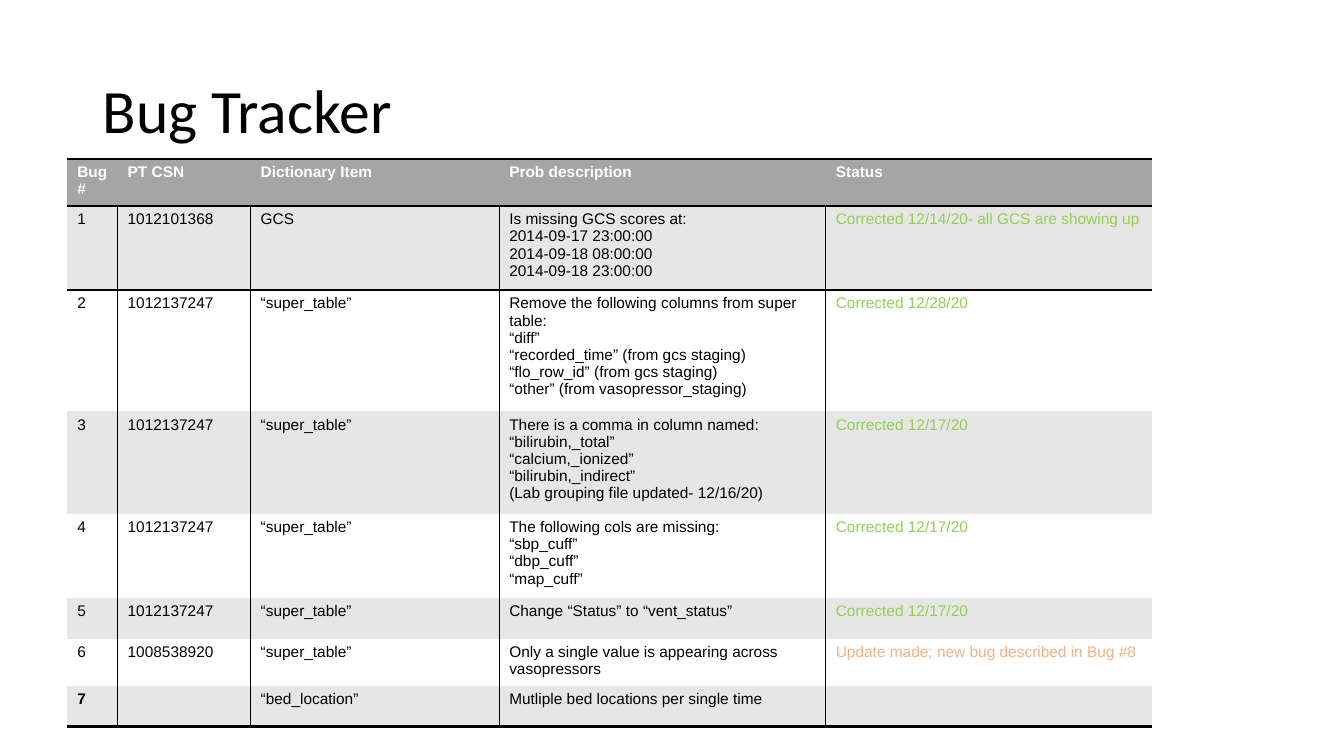
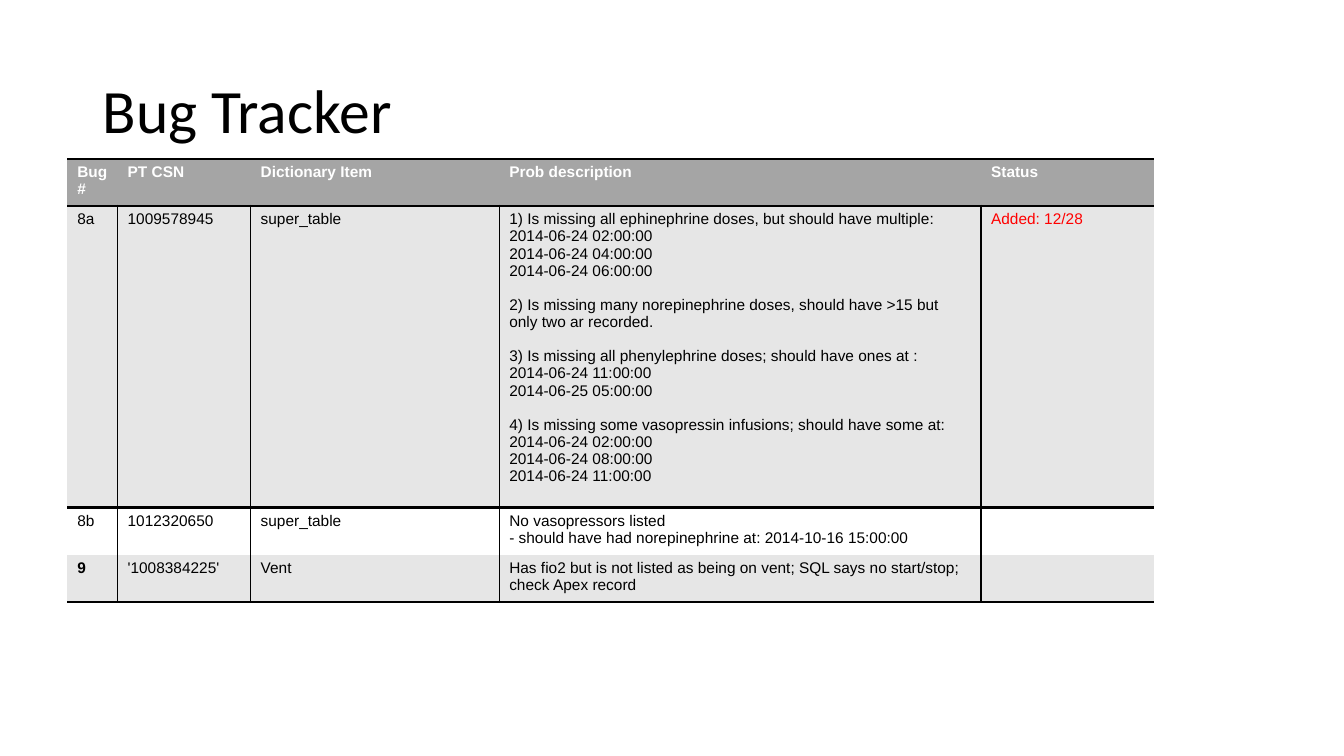
from pptx import Presentation
from pptx.dml.color import RGBColor
from pptx.enum.text import MSO_ANCHOR as Anchor
from pptx.util import Inches, Pt
from lxml.etree import SubElement
from pptx.oxml.ns import qn

BLACK, WHITE, HEAD, BAND = "000000", "FFFFFF", "A5A5A5", "E6E6E6"
STATUS = {"Corrected": "92D050", "Update": "F4B183", "Added:": "FF0000"}
HEADINGS = ["Bug #", "PT CSN", "Dictionary Item", "Prob description", "Status"]
NO_STYLE = "{2D5ABB26-0587-4C30-8999-92F81FD0307C}"
LINE_GAP = Pt(12.2)

prs = Presentation()
prs.slide_width, prs.slide_height = Inches(13.33), Inches(7.5)
X, Y = prs.slide_width / 100, prs.slide_height / 100


def set_font(p, name, size, color, bold=False):
    p.font.name, p.font.size, p.font.bold = name, Pt(size), bold
    p.font.color.rgb = RGBColor.from_string(color)


def add_border(cell, side, width):
    ln = SubElement(cell._tc.get_or_add_tcPr(), qn(f"a:ln{side}"), w=str(Pt(width)))
    SubElement(SubElement(ln, qn("a:solidFill")), qn("a:srgbClr"), val=BLACK)


slides = [
    ([3.75, 9.9, 18.5, 24.3, 24.3], [
        ["1", "1012101368", "GCS",
         "Is missing GCS scores at:\n2014-09-17 23:00:00\n"
         "2014-09-18 08:00:00\n2014-09-18 23:00:00",
         "Corrected 12/14/20- all GCS are showing up"],
        ["2", "1012137247", "“super_table”",
         "Remove the following columns from super table:\n“diff”\n"
         "“recorded_time” (from gcs staging)\n“flo_row_id” (from gcs staging)\n"
         "“other” (from vasopressor_staging)",
         "Corrected 12/28/20"],
        ["3", "1012137247", "“super_table”",
         "There is a comma in column named: “bilirubin,_total”\n“calcium,_ionized”\n"
         "“bilirubin,_indirect”\n(Lab grouping file updated- 12/16/20)",
         "Corrected 12/17/20"],
        ["4", "1012137247", "“super_table”",
         "The following cols are missing:\n“sbp_cuff”\n“dbp_cuff”\n“map_cuff”",
         "Corrected 12/17/20"],
        ["5", "1012137247", "“super_table”",
         "Change “Status” to “vent_status”", "Corrected 12/17/20"],
        ["6", "1008538920", "“super_table”",
         "Only a single value is appearing across vasopressors",
         "Update made; new bug described in Bug #8"],
        ["7", "", "“bed_location”", "Mutliple bed locations per single time", ""],
    ]),
    ([3.75, 9.9, 18.5, 35.85, 12.85], [
        ["8a", "1009578945", "super_table",
         "1) Is missing all ephinephrine doses, but should have multiple:\n"
         "2014-06-24 02:00:00\n2014-06-24 04:00:00\n2014-06-24 06:00:00\n"
         "2) Is missing many norepinephrine doses, should have >15 but only two ar recorded.\n"
         "3) Is missing all phenylephrine doses; should have ones at :\n"
         "2014-06-24 11:00:00\n2014-06-25 05:00:00\n"
         "4) Is missing some vasopressin infusions; should have some at:\n"
         "2014-06-24 02:00:00\n2014-06-24 08:00:00\n2014-06-24 11:00:00",
         "Added: 12/28"],
        ["8b", "1012320650", "super_table",
         "No vasopressors listed\n- should have had norepinephrine at: 2014-10-16 15:00:00", ""],
        ["9", "'1008384225'", "Vent",
         "Has fio2 but is not listed as being on vent; SQL says no start/stop; check Apex record", ""],
    ]),
]

for widths, bugs in slides:
    s = prs.slides.add_slide(prs.slide_layouts[6])
    tf = s.shapes.add_textbox(int(6.9 * X), int(5.33 * Y), int(86.25 * X), int(19.33 * Y)).text_frame
    tf.word_wrap, tf.vertical_anchor = True, Anchor.MIDDLE
    p = tf.paragraphs[0]
    p.text, p.line_spacing = "Bug Tracker", 0.9
    set_font(p, "Calibri", 44, BLACK)

    rows = [HEADINGS] + bugs
    last_row, last_col = len(rows) - 1, len(widths) - 1
    table = s.shapes.add_table(len(rows), len(widths), int(5 * X), int(21 * Y),
                               int(sum(widths) * X), int(5.4 * Y * len(rows))).table
    table.first_row = table.horz_banding = False
    table._tbl.tblPr.find(qn("a:tableStyleId")).text = NO_STYLE
    for col, width in zip(table.columns, widths):
        col.width = int(width * X)

    for i, row in enumerate(rows):
        for j, text in enumerate(row):
            cell = table.cell(i, j)
            if i > 0 and j > 0:
                add_border(cell, "L", 1)
            if i > 0 and j < last_col:
                add_border(cell, "R", 1)
            if i in (0, 1):
                add_border(cell, "T", 2)
            if i in (0, last_row):
                add_border(cell, "B", 2)
            cell.fill.solid()
            fill = HEAD if i == 0 else BAND if i % 2 else WHITE
            cell.fill.fore_color.rgb = RGBColor.from_string(fill)

            color = WHITE if i == 0 else STATUS.get(text.split(" ")[0], BLACK)
            bold = i == 0 or (i == last_row and j == 0)
            cell.text = text
            for k, p in enumerate(cell.text_frame.paragraphs):
                set_font(p, "Arial", 11, color, bold)
                if k > 0 and p.text[1:2] == ")":
                    p.space_before = LINE_GAP

prs.save("out.pptx")
